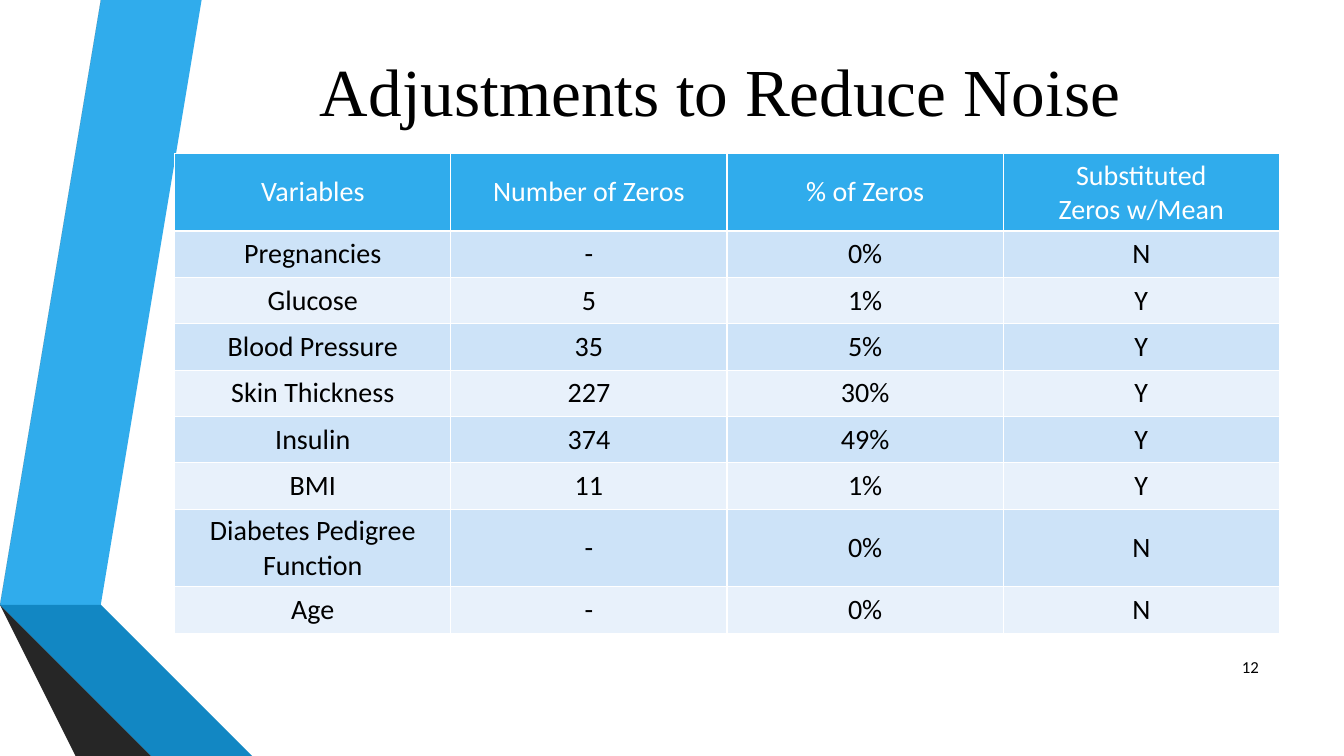
from pptx import Presentation
from pptx import util as u
from pptx.dml import color
from pptx.enum import text

deck = Presentation()
wide, high = u.Inches(13.33), u.Inches(7.5)
deck.slide_width, deck.slide_height = wide, high
slide = deck.slides.add_slide(deck.slide_layouts[6])


def paint(fill, hue):
    fill.solid()
    fill.fore_color.rgb = color.RGBColor.from_string(hue)


def write(frame, words, size, face, hue, align):
    frame.word_wrap = True
    line = frame.paragraphs[0]
    line.text = words
    line.alignment = align
    line.font.size = u.Pt(size)
    line.font.name = face
    line.font.bold = False
    paint(line.font.fill, hue)


bands = [
    ("30ACEC", [(0.5, 5.78), (0.77, 5.83), (1.73, 0), (1.45, 0)]),
    ("595959", [(1.39, 0), (1.11, 0), (0.16, 5.73), (0.44, 5.77)]),
    ("262626", [(0.16, 5.73), (1.45, 7.5), (1.51, 7.5)]),
    ("0C5A82", [(0.5, 5.79), (2.08, 7.5), (2.14, 7.5)]),
    ("1287C3", [(0.5, 5.79), (2.14, 7.5), (2.83, 7.5), (0.77, 5.83), (0.5, 5.78)]),
    ("404040", [(2.02, 7.5), (0.48, 5.83), (0.43, 5.78), (0.44, 5.77),
                (0.16, 5.73), (1.51, 7.5)]),
]
for hue, spots in bands:
    path = slide.shapes.build_freeform(*spots[0], scale=u.Inches(1))
    path.add_line_segments(spots[1:], close=True)
    band = path.convert_to_shape()
    band.shadow.inherit = False
    band.line.fill.background()
    paint(band.fill, hue)

mid, right = text.PP_ALIGN.CENTER, text.PP_ALIGN.RIGHT
labels = [
    ("Adjustments to Reduce Noise", 0.125, 0.044, 0.822, 0.149, 48, "Times New Roman", mid),
    ("12", 0.899, 0.856, 0.045, 0.053, 12, "Calibri", right),
]
for words, left, top, span, tall, size, face, align in labels:
    box = slide.shapes.add_textbox(
        int(left * wide), int(top * high), int(span * wide), int(tall * high))
    box.text_frame.vertical_anchor = text.MSO_ANCHOR.MIDDLE
    write(box.text_frame, words, size, face, "000000", align)

rows = [
    ("Variables", "Number of Zeros", "% of Zeros", "Substituted Zeros w/Mean"),
    ("Pregnancies", "-", "0%", "N"),
    ("Glucose", "5", "1%", "Y"),
    ("Blood Pressure", "35", "5%", "Y"),
    ("Skin Thickness", "227", "30%", "Y"),
    ("Insulin", "374", "49%", "Y"),
    ("BMI", "11", "1%", "Y"),
    ("Diabetes Pedigree Function", "-", "0%", "N"),
    ("Age", "-", "0%", "N"),
]
grid = slide.shapes.add_table(
    len(rows), 4, int(0.13 * wide), int(0.203 * high),
    int(0.822 * wide), int(0.632 * high)).table
for r, row in enumerate(rows):
    grid.rows[r].height = u.Inches(0.77 if r in (0, 7) else 0.46)
    for c, words in enumerate(row):
        cell = grid.cell(r, c)
        cell.vertical_anchor = text.MSO_ANCHOR.MIDDLE
        paint(cell.fill, "30ACEC" if r == 0 else ("E8F1FB", "CDE3F8")[r % 2])
        write(cell.text_frame, words, 20, "Calibri", "000000" if r else "FFFFFF", mid)

last = grid.cell(0, 3)
last.margin_left = last.margin_right = u.Inches(0.5)

deck.save("out.pptx")
